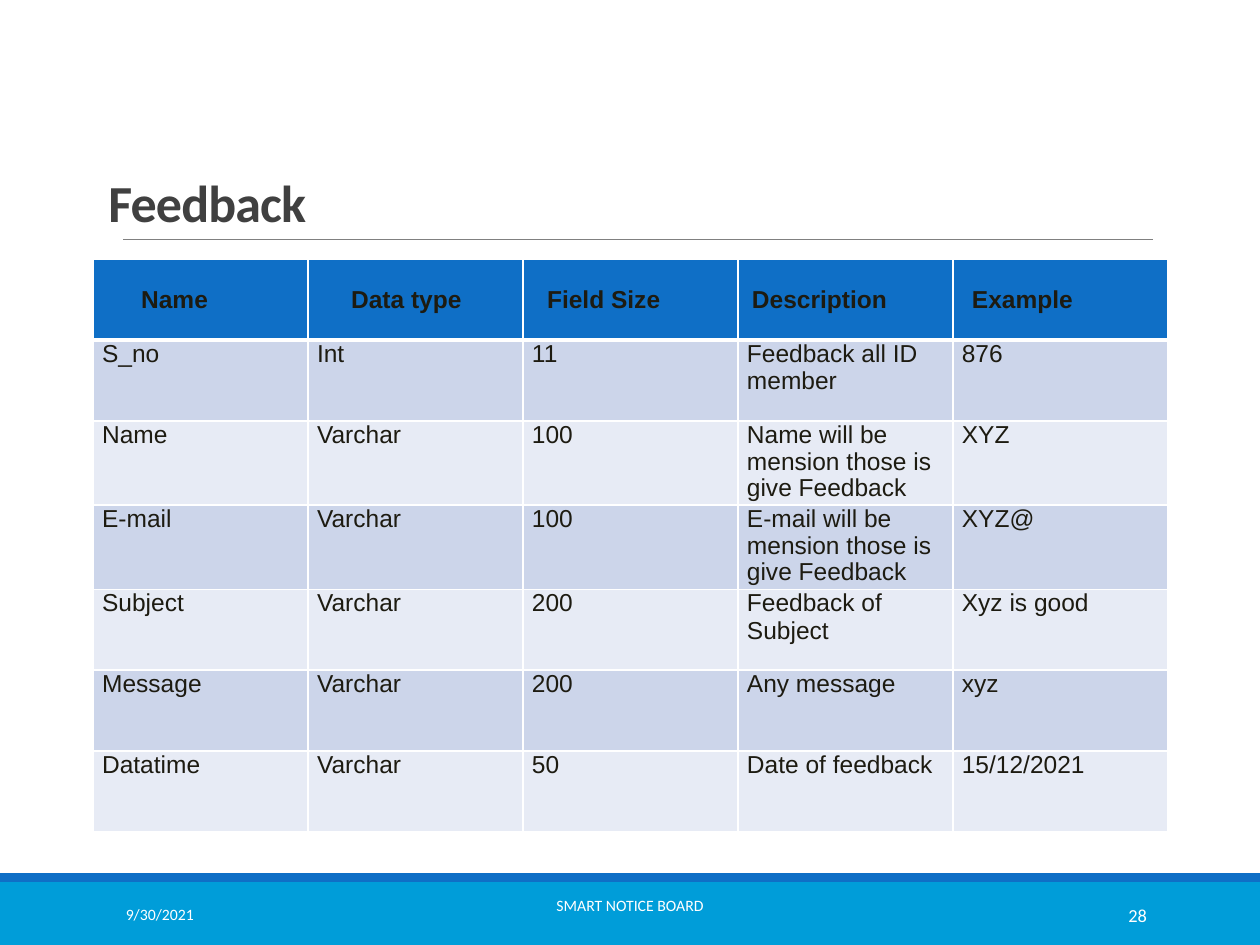
from lxml import etree
from pptx import Presentation, util as u
from pptx.dml.color import RGBColor
from pptx.enum import shapes, text
from pptx.oxml.ns import qn

WIDTH, HEIGHT = 10, 7.5
COLUMN, ROW = 1.706, 0.64
BLUE, SKY, WHITE, INK = "0F6FC6", "009DD9", "FFFFFF", "1D1B11"
BANDS = ("CCD5EA", "E7EBF5")
HEADER_INDENTS = (0.38, 0.34, 0.19, 0.11, 0.15)

FIELDS = [
    ("Name", "Data type", "Field Size", "Description", "Example"),
    ("S_no", "Int", "11", "Feedback all ID member", "876"),
    ("Name", "Varchar", "100",
     "Name will be mension those is\ngive Feedback", "XYZ"),
    ("E-mail", "Varchar", "100",
     "E-mail will be mension those is\ngive Feedback", "XYZ@"),
    ("Subject", "Varchar", "200", "Feedback of Subject", "Xyz is good"),
    ("Message", "Varchar", "200", "Any message", "xyz"),
    ("Datatime", "Varchar", "50", "Date of feedback", "15/12/2021"),
]


def color(value):
    return RGBColor.from_string(value)


def place(shape, left, top, width, height):
    shape.left, shape.top = u.Inches(left), u.Inches(top)
    shape.width, shape.height = u.Inches(width), u.Inches(height)


def format_runs(paragraph, size, ink, font="Calibri", bold=False):
    for run in paragraph.runs:
        run.font.name, run.font.size, run.font.bold = font, u.Pt(size), bold
        run.font.color.rgb = color(ink)


def add_band(slide, top, height, fill):
    band = slide.shapes.add_shape(
        shapes.MSO_SHAPE.RECTANGLE, 0, u.Inches(top),
        u.Inches(WIDTH), u.Inches(height))
    band.shadow.inherit = False
    band.fill.solid()
    band.fill.fore_color.rgb = color(fill)
    band.line.fill.background()


def add_rule(slide, left, right, top):
    rule = slide.shapes.add_connector(
        shapes.MSO_CONNECTOR.STRAIGHT,
        u.Inches(left), u.Inches(top), u.Inches(right), u.Inches(top))
    rule.line.color.rgb = color("808080")
    rule.line.width = u.Pt(0.5)
    etree.SubElement(rule._element.spPr, qn("a:effectLst"))


def set_title(slide, wording):
    title = slide.shapes.title
    place(title, 0.76, 0.31, 8.25, 1.59)
    frame = title.text_frame
    frame.text = wording
    frame.word_wrap = True
    frame.vertical_anchor = text.MSO_ANCHOR.BOTTOM
    paragraph = frame.paragraphs[0]
    paragraph.alignment = text.PP_ALIGN.LEFT
    paragraph.line_spacing = 0.85
    format_runs(paragraph, 29.7, "404040", bold=True)
    paragraph.runs[0].font._element.set("spc", "-50")


def add_footer(slide, wording, left, width, align, size=9,
               anchor=text.MSO_ANCHOR.MIDDLE):
    box = slide.shapes.add_textbox(
        u.Inches(left), u.Inches(7.06), u.Inches(width), u.Inches(0.4))
    frame = box.text_frame
    frame.text = wording
    frame.word_wrap = True
    frame.vertical_anchor = anchor
    frame.paragraphs[0].alignment = align
    format_runs(frame.paragraphs[0], size, WHITE)


def set_borders(cell, bottom):
    properties = cell._tc.get_or_add_tcPr()
    for side, points in (("L", 1), ("R", 1), ("T", 1), ("B", bottom)):
        line = etree.SubElement(properties, qn(f"a:ln{side}"),
                                w=str(u.Pt(points)))
        fill = etree.SubElement(line, qn("a:solidFill"))
        etree.SubElement(fill, qn("a:srgbClr"), val=WHITE)


def fill_cell(cell, wording, fill, indent, header):
    set_borders(cell, 3 if header else 1)
    cell.fill.solid()
    cell.fill.fore_color.rgb = color(fill)
    cell.margin_left = cell.margin_right = 0
    cell.margin_top = cell.margin_bottom = 0
    cell.vertical_anchor = (text.MSO_ANCHOR.MIDDLE if header
                            else text.MSO_ANCHOR.TOP)
    cell.text_frame.text = wording
    for index, paragraph in enumerate(cell.text_frame.paragraphs):
        paragraph.space_before = u.Pt(0.8 if index else 0.1)
        if index:
            paragraph.line_spacing = u.Pt(13.8)
        paragraph._p.get_or_add_pPr().set("marL", str(u.Inches(indent)))
        format_runs(paragraph, 14, INK, "Arial", header)


def add_field_table(slide, left, top):
    rows, columns = len(FIELDS), len(FIELDS[0])
    table = slide.shapes.add_table(
        rows, columns, u.Inches(left), u.Inches(top),
        u.Inches(columns * COLUMN), u.Inches(rows * ROW)).table
    for column in table.columns:
        column.width = u.Inches(COLUMN)
    for r, field in enumerate(FIELDS):
        table.rows[r].height = u.Inches(ROW)
        header = r == 0
        for c, wording in enumerate(field):
            fill = BLUE if header else BANDS[(r - 1) % 2]
            indent = HEADER_INDENTS[c] if header else 0.07
            fill_cell(table.cell(r, c), wording, fill, indent, header)


def main():
    presentation = Presentation()
    presentation.slide_width = u.Inches(WIDTH)
    presentation.slide_height = u.Inches(HEIGHT)
    slide = presentation.slides.add_slide(presentation.slide_layouts[5])

    # Footer bands and title rule
    add_band(slide, 7, 0.5, SKY)
    add_band(slide, 6.93, 0.07, BLUE)
    add_rule(slide, 0.98, 9.15, 1.9)

    # Title and footer texts
    set_title(slide, "Feedback")
    add_footer(slide, "9/30/2021", 0.9, 2.03, text.PP_ALIGN.LEFT)
    add_footer(slide, "SMART NOTICE BOARD", 3.02, 3.96, text.PP_ALIGN.CENTER,
               anchor=text.MSO_ANCHOR.TOP)
    add_footer(slide, "28", 8.12, 1.08, text.PP_ALIGN.RIGHT, size=10.5)

    # Table of database fields
    add_field_table(slide, 0.74, 2.06)
    presentation.save("out.pptx")


if __name__ == "__main__":
    main()
